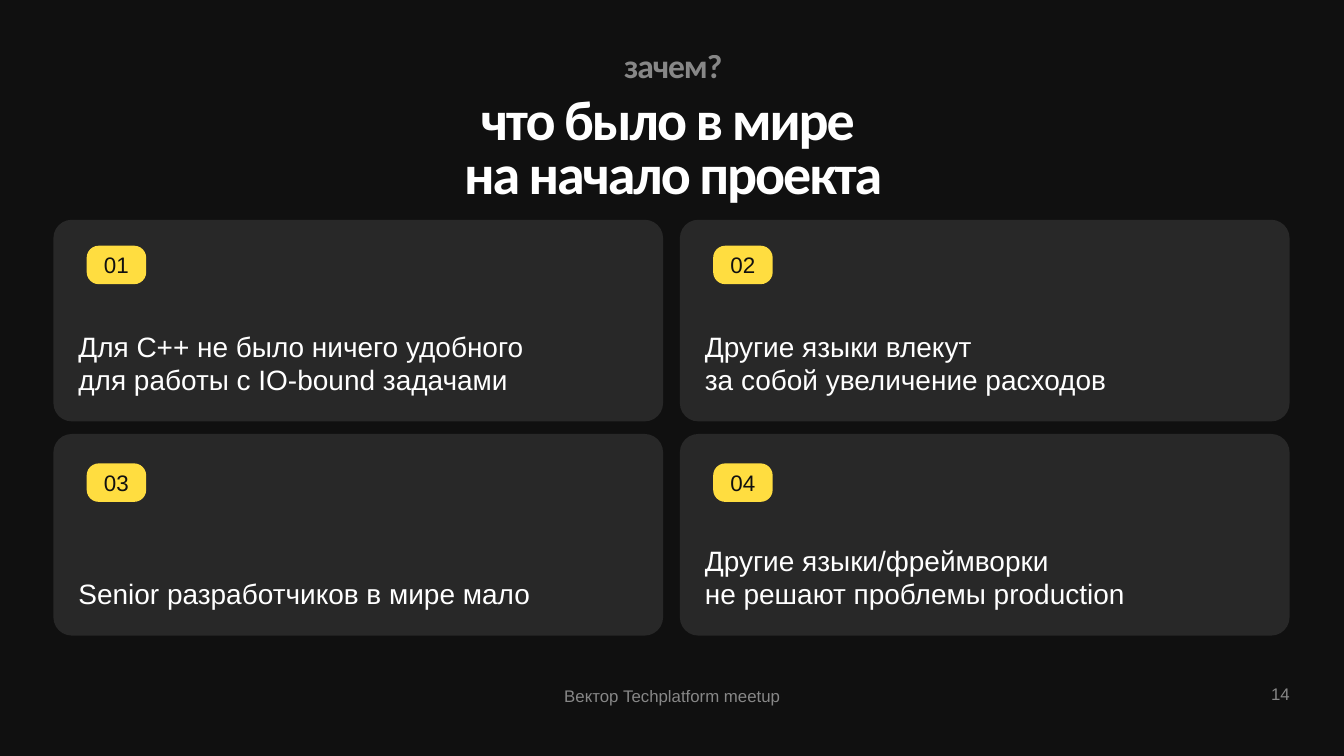
from lxml.etree import SubElement
from pptx import Presentation
from pptx.dml.color import RGBColor
from pptx.enum.shapes import MSO_SHAPE
from pptx.enum.text import MSO_ANCHOR, PP_ALIGN
from pptx.oxml.ns import qn
from pptx.util import Pt

COLORS = {
    "background": "101010",
    "card": "282828",
    "badge": "FFDD40",
    "text": "FFFFFF",
}

CARDS = [
    ("01", "Для C++ не было ничего удобного \vдля работы с IO-bound задачами"),
    ("02", "Другие языки влекут \vза собой увеличение расходов"),
    ("03", "Senior разработчиков в мире мало"),
    ("04", "Другие языки/фреймворки \vне решают проблемы production"),
]


def write_text(shape, text, size, color="text", font="Arial", bold=False,
               align=PP_ALIGN.LEFT, anchor=MSO_ANCHOR.TOP, insets=(0, 0, 0, 0),
               line_spacing=1.0, tracking=0, opacity=100, wrap=True):
    frame = shape.text_frame
    frame.word_wrap = wrap
    frame.vertical_anchor = anchor
    (frame.margin_left, frame.margin_top,
     frame.margin_right, frame.margin_bottom) = map(Pt, insets)
    paragraph = frame.paragraphs[0]
    paragraph.text = text
    paragraph.alignment = align
    paragraph.line_spacing = line_spacing
    for run in paragraph.runs:
        run.font.name = font
        run.font.size = Pt(size)
        run.font.bold = bold
        run.font.color.rgb = RGBColor.from_string(COLORS[color])
        properties = run.font._element
        if tracking:
            properties.set("spc", str(int(tracking * 100)))
        if opacity < 100:
            color_element = properties.find(".//" + qn("a:srgbClr"))
            SubElement(color_element, qn("a:alpha"), val=str(opacity * 1000))


def add_text(slide, box, text, size, **text_format):
    shape = slide.shapes.add_textbox(*map(Pt, box))
    write_text(shape, text, size, **text_format)


def add_rounded_box(slide, box, color, rounding):
    shape = slide.shapes.add_shape(MSO_SHAPE.ROUNDED_RECTANGLE, *map(Pt, box))
    shape.adjustments[0] = rounding
    shape.shadow.inherit = False
    shape.fill.solid()
    shape.fill.fore_color.rgb = RGBColor.from_string(COLORS[color])
    shape.line.fill.background()
    return shape


def add_heading(slide, box, kicker, title):
    left, top, width, height = box
    kicker_height = 47.5
    heading_format = dict(font="Calibri", bold=True, align=PP_ALIGN.CENTER, line_spacing=0.8)
    add_text(slide, (left, top, width, kicker_height), kicker, 48,
             tracking=-1.5, opacity=50, **heading_format)
    add_text(slide, (left, top + kicker_height, width, height - kicker_height), title, 80,
             tracking=-3, insets=(0, 16, 0, 0), **heading_format)


def add_card(slide, box, number, text, badge_offset):
    left, top, width, height = box
    card = add_rounded_box(slide, box, "card", 0.091)
    write_text(card, text, 40, anchor=MSO_ANCHOR.BOTTOM, insets=(28, 28, 28, 28))
    badge = add_rounded_box(slide, (left + 47.5, top + badge_offset, 85, 55), "badge", 0.313)
    write_text(badge, number, 32, color="background", align=PP_ALIGN.CENTER,
               anchor=MSO_ANCHOR.MIDDLE, insets=(7.2, 3.6, 7.2, 3.6), wrap=False)


def add_card_grid(slide, box, cards):
    left, top, width, height = box
    column_gap, row_gap = 24, 18
    card_width = (width - column_gap) / 2
    card_height = (height - row_gap) / 2
    badge_offsets = (37, 42)
    for index, (number, text) in enumerate(cards):
        row, column = divmod(index, 2)
        card_box = (left + column * (card_width + column_gap),
                    top + row * (card_height + row_gap), card_width, card_height)
        add_card(slide, card_box, number, text, badge_offsets[row])


def add_footer(slide, box, event, page):
    left, top, width, height = box
    add_text(slide, (left, top + 18, width, 42.5), event, 24,
             align=PP_ALIGN.CENTER, opacity=50)
    add_text(slide, (left + width - 212, top, 212, height), page, 24,
             align=PP_ALIGN.RIGHT, anchor=MSO_ANCHOR.MIDDLE,
             insets=(0, 3.6, 0, 3.6), opacity=50)


def main():
    presentation = Presentation()
    presentation.slide_width = Pt(1919.52)
    presentation.slide_height = Pt(1080)
    slide = presentation.slides.add_slide(presentation.slide_layouts[6])
    slide.background.fill.solid()
    slide.background.fill.fore_color.rgb = RGBColor.from_string(COLORS["background"])
    add_heading(slide, (80, 75.6, 1763, 219), "зачем?",
                "что было в мире \vна начало проекта")
    add_card_grid(slide, (76.3, 314, 1765.5, 594), CARDS)
    add_footer(slide, (78, 962, 1764, 57.6), "Вектор Techplatform meetup", "14")
    presentation.save("out.pptx")


if __name__ == "__main__":
    main()
